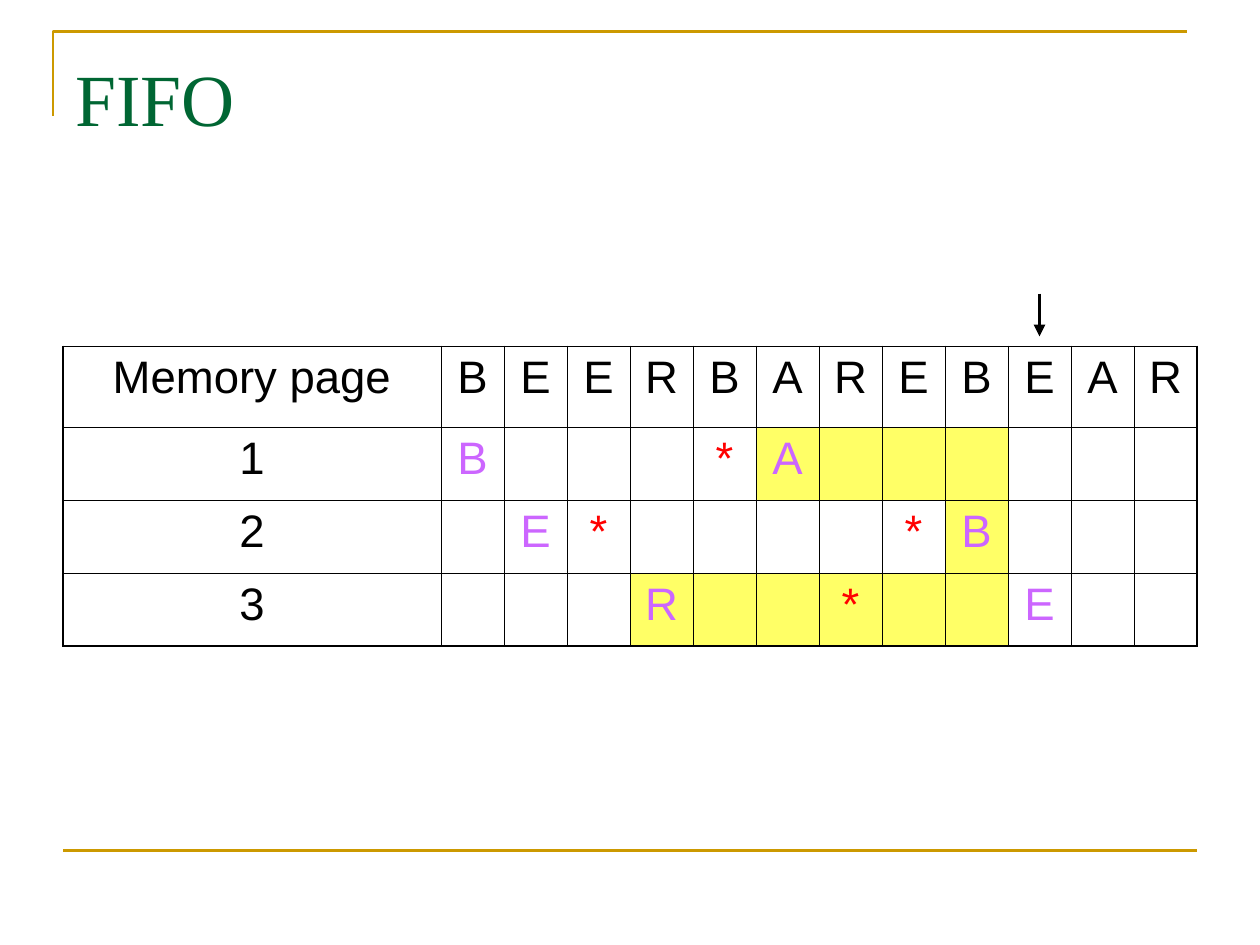
from lxml.etree import SubElement
from pptx import Presentation
from pptx.dml.color import RGBColor
from pptx.enum.shapes import MSO_CONNECTOR
from pptx.enum.text import PP_ALIGN
from pptx.oxml import parse_xml
from pptx.oxml.ns import nsdecls, qn
from pptx.util import Inches, Pt

GOLD = RGBColor(0xCC, 0x99, 0x00)
GREEN = RGBColor(0x00, 0x66, 0x33)
BLACK = RGBColor(0x00, 0x00, 0x00)
PURPLE = RGBColor(0xCC, 0x66, 0xFF)
RED = RGBColor(0xFF, 0x00, 0x00)
YELLOW = RGBColor(0xFF, 0xFF, 0x66)

REQUESTS = "BEERBAREBEAR"
FRAMES = ["B...*A......", ".E*....*B...", "...R..*..E.."]
RESIDENT = [range(6, 10), range(9, 10), range(4, 10)]
LABEL_W, PAGE_W = 3, 0.5
HEADER_H, FRAME_H = 0.64, 0.58
THIN, THICK = 0.45, 1.08


def add_line(s, x1, y1, x2, y2, color, width):
    line = s.shapes.add_connector(
        MSO_CONNECTOR.STRAIGHT, Inches(x1), Inches(y1), Inches(x2), Inches(y2))
    line.line.color.rgb = color
    line.line.width = Pt(width)
    SubElement(line._element.spPr, qn("a:effectLst"))
    return line


def add_frame(s, x, y, w, h):
    fb = s.shapes.build_freeform(Inches(x), Inches(y + h))
    fb.add_line_segments(
        [(Inches(x), Inches(y)), (Inches(x + w), Inches(y))], close=False)
    corner = fb.convert_to_shape()
    corner.shadow.inherit = False
    corner.fill.background()
    corner.line.color.rgb = GOLD
    corner.line.width = Pt(1.5)


def add_title(s, text, x, y, w, h):
    tf = s.shapes.add_textbox(Inches(x), Inches(y), Inches(w), Inches(h)).text_frame
    tf.word_wrap = True
    tf.margin_top = Inches(0.12)
    p = tf.paragraphs[0]
    p.text = text
    p.font.name = "Times New Roman"
    p.font.size = Pt(42)
    p.font.color.rgb = GREEN


def set_borders(cell, widths):
    tcPr = cell._tc.get_or_add_tcPr()
    for i, (side, width) in enumerate(zip("LRTB", widths)):
        tcPr.insert(i, parse_xml(
            f'<a:ln{side} {nsdecls("a")} w="{Pt(width)}"><a:solidFill>'
            f'<a:srgbClr val="{BLACK}"/></a:solidFill></a:ln{side}>'))


def set_cell(cell, text, color, resident):
    if resident:
        cell.fill.solid()
        cell.fill.fore_color.rgb = YELLOW
    else:
        cell.fill.background()
    p = cell.text_frame.paragraphs[0]
    p.text = text
    p.alignment = PP_ALIGN.CENTER
    p.font.name = "Arial"
    p.font.size = Pt(26)
    p.font.color.rgb = color


def add_memory_table(s, x, y, w, h):
    rows = [["Memory page", *REQUESTS]]
    rows += [[str(n), *frame.replace(".", " ")] for n, frame in enumerate(FRAMES, 1)]
    last_row, last_col = len(rows) - 1, len(REQUESTS)
    table = s.shapes.add_table(
        last_row + 1, last_col + 1, Inches(x), Inches(y), Inches(w), Inches(h)).table
    table.first_row = table.horz_banding = False
    for c, column in enumerate(table.columns):
        column.width = Inches(PAGE_W if c else LABEL_W)
    for r, row in enumerate(table.rows):
        row.height = Inches(FRAME_H if r else HEADER_H)
        for c, text in enumerate(rows[r]):
            color = BLACK if r == 0 or c == 0 else RED if text == "*" else PURPLE
            cell = table.cell(r, c)
            set_cell(cell, text.strip(), color, r > 0 and c in RESIDENT[r - 1])
            outer = (c == 0, c == last_col, r == 0, r == last_row)
            set_borders(cell, [THICK if edge else THIN for edge in outer])


def add_pointer(s, x, y, h):
    arrow = add_line(s, x, y, x, y + h, BLACK, 2.25)
    SubElement(arrow.line._get_or_add_ln(), qn("a:tailEnd"), type="triangle")


def main():
    prs = Presentation()
    prs.slide_width, prs.slide_height = Inches(10), Inches(7.5)
    s = prs.slides.add_slide(prs.slide_layouts[6])
    add_frame(s, 0.42, 0.25, 9, 0.67)
    add_line(s, 0.5, 6.75, 9.5, 6.75, GOLD, 1.5)
    add_title(s, "FIFO", 0.5, 0.3, 9, 1.25)
    add_memory_table(s, 0.5, 2.75, 9, HEADER_H + len(FRAMES) * FRAME_H)
    add_pointer(s, 0.5 + LABEL_W + 9.5 * PAGE_W, 2.33, 0.34)
    prs.save("out.pptx")


if __name__ == "__main__":
    main()
